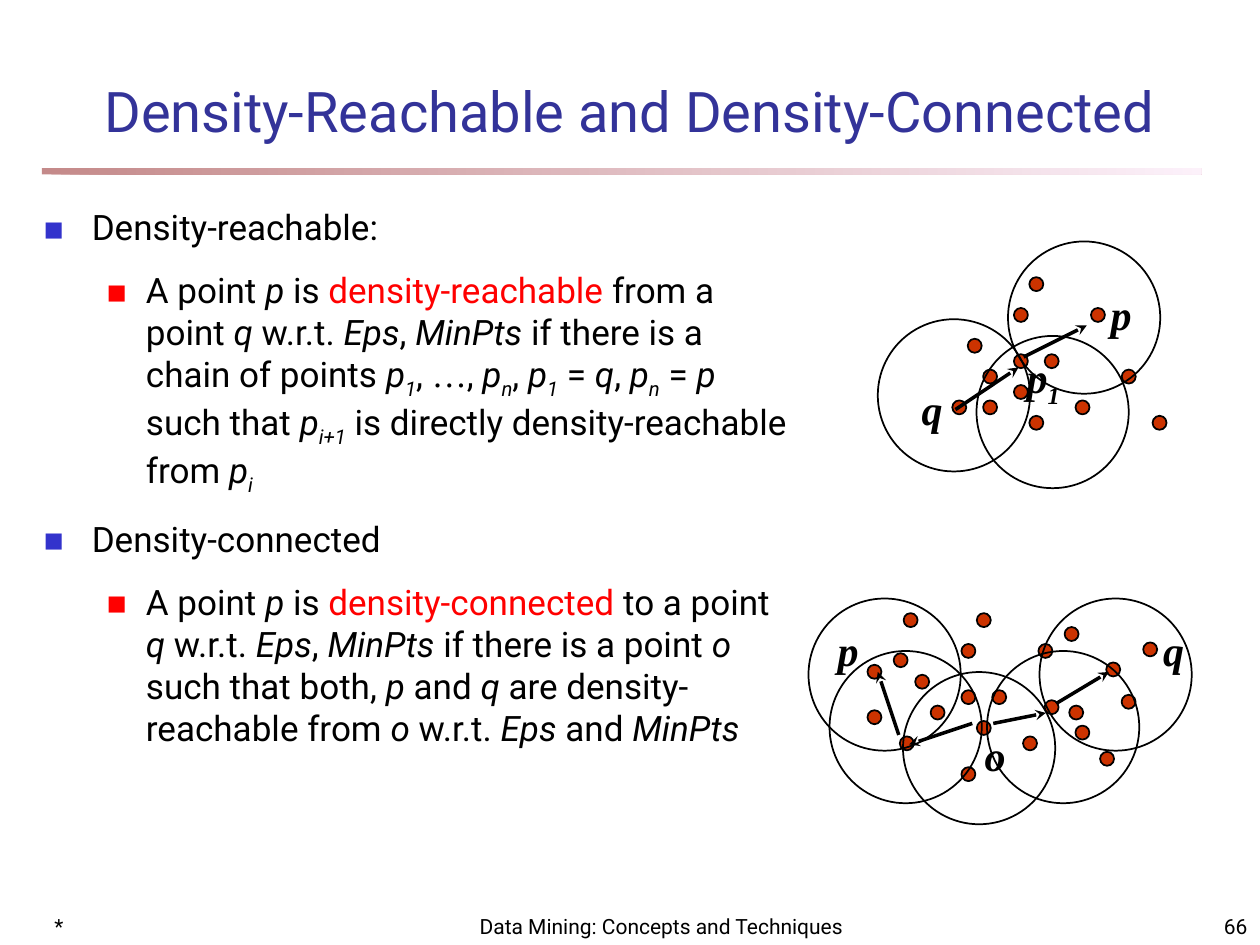
from dataclasses import dataclass

from lxml.etree import SubElement
from pptx import Presentation
from pptx.dml.color import RGBColor
from pptx.enum.shapes import MSO_CONNECTOR, MSO_SHAPE
from pptx.enum.text import MSO_ANCHOR, PP_ALIGN
from pptx.oxml.ns import qn
from pptx.util import Inches, Pt

OVAL, RECTANGLE, STRAIGHT = MSO_SHAPE.OVAL, MSO_SHAPE.RECTANGLE, MSO_CONNECTOR.STRAIGHT
LEFT, CENTER, RIGHT = PP_ALIGN.LEFT, PP_ALIGN.CENTER, PP_ALIGN.RIGHT
TOP, MIDDLE, BOTTOM = MSO_ANCHOR.TOP, MSO_ANCHOR.MIDDLE, MSO_ANCHOR.BOTTOM

BLACK = RGBColor(0x00, 0x00, 0x00)
RED = RGBColor(0xFF, 0x00, 0x00)
BLUE = RGBColor(0x33, 0x33, 0xCC)
NAVY = RGBColor(0x33, 0x33, 0x99)
RUST = RGBColor(0xCC, 0x33, 0x00)
MAROON = RGBColor(0x80, 0x00, 0x00)
PINK = RGBColor(0xFA, 0xE2, 0xF6)

COLUMNS, ROWS = 120, 90
CELL = Inches(10) / COLUMNS
DOT_SIZE, DOT_PITCH, CIRCLE_SIZE = 1.33, 1.467, 14.5

SANS = {"name": "Roboto"}
FOOTER = SANS | {"size": Pt(12), "color": BLACK}
TITLE = SANS | {"size": Pt(32), "color": NAVY}
BODY = SANS | {"size": Pt(20), "color": BLACK}
LABEL = {"name": "Times New Roman", "size": Pt(24), "color": BLACK, "bold": True, "italic": True}
MARKS = {
    "/": {"italic": True},
    "_": {"italic": True, "baseline": -25},
    "!": {"color": RED},
    "~": {"name": "Times New Roman"},
}


@dataclass(frozen=True)
class Level:
    """Bullet colour and indents of an outline level."""
    depth: int
    color: RGBColor
    margin: float
    hanging: float


@dataclass(frozen=True)
class Cluster:
    """A drawing of neighbourhoods, placed in slide cells."""
    origin: tuple[float, float]
    dots: list[tuple[float, float]]
    circles: list[tuple[float, float]]
    arrows: list[tuple[float, float, float, float]]
    labels: list[tuple[str, float, float]]


HEADING = Level(0, BLUE, 0.38, 0.38)
DETAIL = Level(1, RED, 0.81, 0.31)

OUTLINE = [
    (HEADING, "Density-reachable:"),
    (DETAIL, "A point |/p| is |!density-reachable| from a point |/q| w.r.t. |/Eps|, |/MinPts"
             "| if there is a chain of points |/p|_1|, |~…|, |/p|_n|, |/p|_1| = |/q|, |/p|_n"
             "| = |/p| such that |/p|_i+1| is directly density-reachable from |/p|_i"),
    (HEADING, "Density-connected"),
    (DETAIL, "A point |/p| is |!density-connected| to a point |/q| w.r.t. |/Eps|, |/MinPts"
             "| if there is a point |/o |such that both, |/p| and |/q"
             "| are density-reachable from |/o| w.r.t. |/Eps| and |/MinPts"),
]

REACHABLE = Cluster(
    origin=(90.7, 26.4),
    dots=[(1, 4), (4, 5), (4, 2), (0, 8), (2, 6), (2, 8), (5, 9), (5, 0), (11, 6), (9, 2),
          (4, 7), (6, 5), (8, 8), (13, 9)],
    circles=[(93, 32), (83.6, 30.4), (96, 23)],
    arrows=[(97.5, 34, 103.5, 31), (91, 39, 97, 35)],
    labels=[("/p", 104.6, 26.9), ("/q", 86.6, 35.9), ("/p|_1", 96.6, 32.9)],
)
CONNECTED = Cluster(
    origin=(85.7, 58.4),
    dots=[(1, 4), (4, 5), (4, 2), (0, 8), (2, 6), (4, 10), (5, 7), (5, 0), (11, 6), (9, 2),
          (-2.1, 6.3), (6, 5), (8, 8), (13, 9), (14.4, 5.3), (9.4, 5.65), (11.4, 7.3),
          (15.8, 1.9), (10.7, 0.9), (13.4, 3.2), (-0.4, 2.6), (-2.1, 3.35), (0.25, 0)],
    circles=[(79, 62), (86, 64), (94, 62), (99, 57), (77, 57)],
    arrows=[(92.6, 68.9, 86.6, 70.9), (94.6, 68.9, 99.6, 67.9),
            (85.6, 70, 83.6, 64), (100.6, 67, 105.6, 64)],
    labels=[("/p", 78.6, 58.9), ("/q", 109.6, 58.9), ("/o", 92.6, 68.9)],
)


def cells(*counts: float) -> list[int]:
    """Turn grid counts into slide lengths."""
    return [round(count * CELL) for count in counts]


def write_spans(para, text: str, style: dict) -> None:
    """Write marked-up pieces as formatted spans."""
    for piece in text.split("|"):
        mark = MARKS.get(piece[0], {})
        span = para.add_run()
        span.text = piece[1:] if mark else piece
        for key, value in (style | mark).items():
            if key == "color":
                span.font.color.rgb = value
            elif key == "baseline":
                span.font._element.set("baseline", str(value * 1000))
            else:
                setattr(span.font, key, value)


def add_box(page, area: tuple, anchor=TOP):
    """Add an empty text box and return its frame."""
    frame = page.shapes.add_textbox(*cells(*area)).text_frame
    frame.word_wrap = True
    frame.vertical_anchor = anchor
    return frame


def add_line_of_text(page, area: tuple, text: str, style: dict, align=LEFT, anchor=TOP) -> None:
    """Add a text box holding one paragraph."""
    para = add_box(page, area, anchor).paragraphs[0]
    para.alignment = align
    write_spans(para, text, style)


def add_outline(page) -> None:
    """Add the bulleted definitions."""
    frame = add_box(page, (3, 19, 74, 66))
    for index, (level, text) in enumerate(OUTLINE):
        para = frame.add_paragraph() if index else frame.paragraphs[0]
        properties = para._p.get_or_add_pPr()
        properties.set("marL", str(Inches(level.margin)))
        properties.set("indent", str(-Inches(level.hanging)))
        color = SubElement(properties, qn("a:buClr"))
        SubElement(color, qn("a:srgbClr"), val=str(level.color))
        SubElement(properties, qn("a:buSzPct"), val="60000")
        SubElement(properties, qn("a:buFont"), typeface="Noto Sans Symbols")
        SubElement(properties, qn("a:buChar"), char="■")
        para.level = level.depth
        if index:
            para.space_before = Pt(12)
        write_spans(para, text, BODY)


def add_rule(page) -> None:
    """Add the fading bar under the title."""
    bar = page.shapes.add_shape(RECTANGLE, *cells(4, 16, 110.4, 0.6))
    bar.shadow.inherit = False
    bar.line.fill.background()
    bar.fill.gradient()
    bar.fill.gradient_angle = 0
    for stop, color in zip(bar.fill.gradient_stops, (MAROON, PINK)):
        stop.color.rgb = color
    for tint in bar._element.spPr.iter(qn("a:srgbClr")):
        SubElement(tint, qn("a:alpha"), val="46000")


def add_round(page, left: float, top: float, size: float, color: RGBColor | None = None) -> None:
    """Add an outlined circle, filled when a colour is given."""
    circle = page.shapes.add_shape(OVAL, *cells(left, top, size, size))
    circle.shadow.inherit = False
    circle.line.color.rgb = BLACK
    circle.line.width = Pt(1)
    if color is None:
        circle.fill.background()
    else:
        circle.fill.solid()
        circle.fill.fore_color.rgb = color


def add_arrow(page, ends: tuple) -> None:
    """Add a line with a stealth tip at its end."""
    arrow = page.shapes.add_connector(STRAIGHT, *cells(*ends))
    arrow.line.color.rgb = BLACK
    arrow.line.width = Pt(2)
    SubElement(arrow.line._get_or_add_ln(), qn("a:tailEnd"), type="stealth")
    SubElement(arrow._element.spPr, qn("a:effectLst"))


def add_cluster(page, cluster: Cluster) -> None:
    """Draw the dots, circles, arrows and labels of a cluster."""
    left, top = cluster.origin
    for column, row in cluster.dots:
        add_round(page, left + column * DOT_PITCH, top + row * DOT_PITCH, DOT_SIZE, RUST)
    for place in cluster.circles:
        add_round(page, *place, CIRCLE_SIZE)
    for ends in cluster.arrows:
        add_arrow(page, ends)
    for text, column, row in cluster.labels:
        add_line_of_text(page, (column, row, 8 if "|" in text else 5, 6), text, LABEL)


def main() -> None:
    """Build the slide and save it."""
    deck = Presentation()
    deck.slide_width, deck.slide_height = cells(COLUMNS, ROWS)
    page = deck.slides.add_slide(deck.slide_layouts[6])
    add_rule(page)
    add_line_of_text(page, (4, 85, 25, 5), "*", FOOTER, LEFT, BOTTOM)
    add_line_of_text(page, (44, 85, 38, 5), "Data Mining: Concepts and Techniques",
                     FOOTER, CENTER, BOTTOM)
    add_line_of_text(page, (95, 85, 25, 5), "66", FOOTER, RIGHT, BOTTOM)
    add_line_of_text(page, (0, 5, 120, 11), "Density-Reachable and Density-Connected",
                     TITLE, CENTER, MIDDLE)
    add_outline(page)
    for cluster in (REACHABLE, CONNECTED):
        add_cluster(page, cluster)
    deck.save("out.pptx")


if __name__ == "__main__":
    main()
